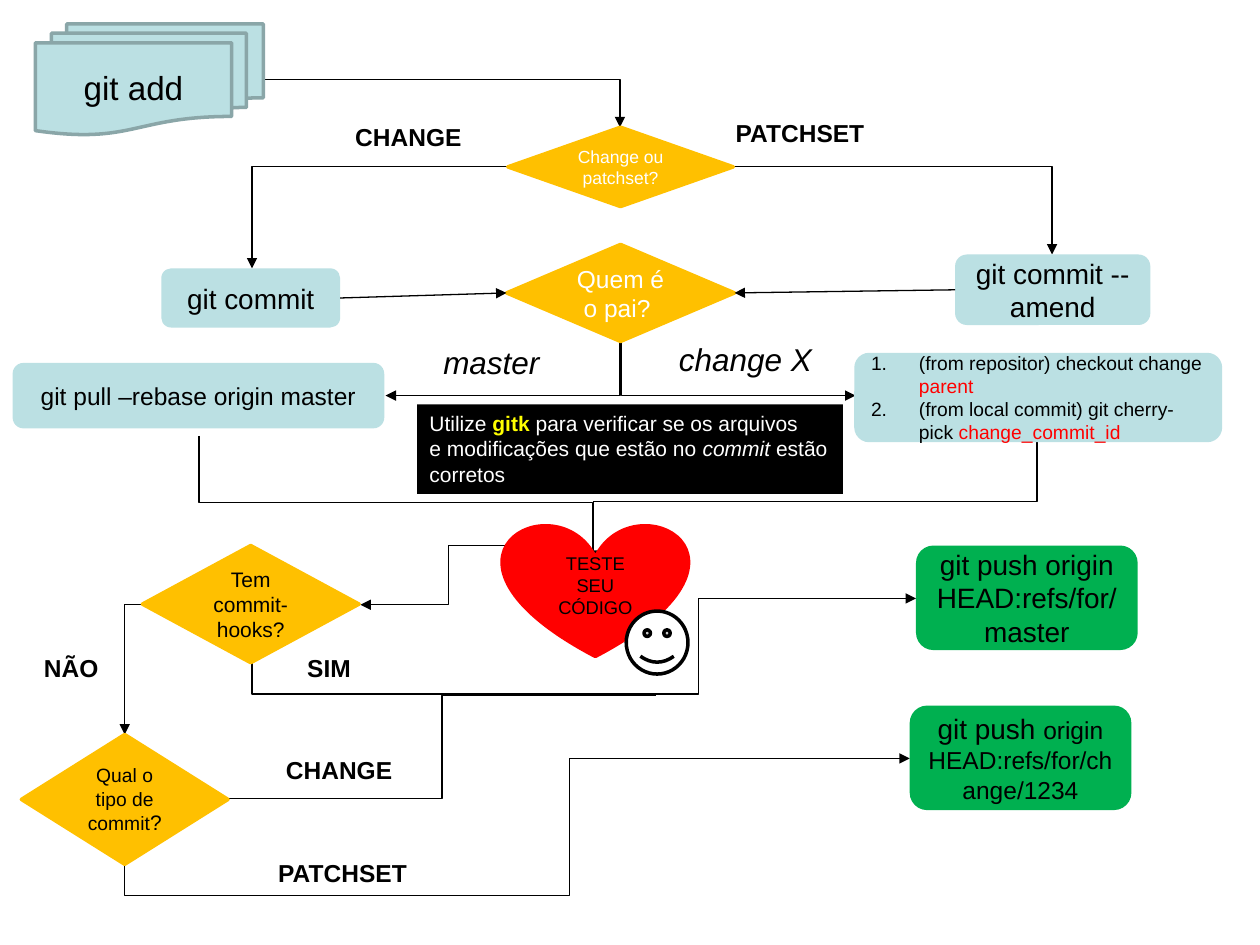
from lxml import etree
from pptx import Presentation
from pptx import util as u
from pptx.dml.color import RGBColor
from pptx.enum import shapes, text
from pptx.oxml.ns import qn

BLACK = RGBColor(0x00, 0x00, 0x00)
WHITE = RGBColor(0xFF, 0xFF, 0xFF)
RED = RGBColor(0xFF, 0x00, 0x00)
YELLOW = RGBColor(0xFF, 0xFF, 0x00)
AMBER = RGBColor(0xFF, 0xC0, 0x00)
AQUA = RGBColor(0xBB, 0xE0, 0xE3)
SLATE = RGBColor(0x8A, 0xA6, 0xA8)
GREEN = RGBColor(0x00, 0xB0, 0x50)
FONT = "Arial"

KIND = shapes.MSO_SHAPE
DECISION = (KIND.DIAMOND, AMBER, AMBER)
COMMAND = (KIND.ROUNDED_RECTANGLE, AQUA, None)
PUSH = (KIND.ROUNDED_RECTANGLE, GREEN, None)
HEART = (KIND.HEART, RED, RED)
FILES = (KIND.FLOWCHART_MULTIDOCUMENT, AQUA, SLATE)
SMILEY = (KIND.SMILEY_FACE, WHITE, BLACK)

# A paragraph is a list of runs: (text, size, colour, style letters b / i)
# Steps: name -> style, (left, top, width, height), paragraphs
STEPS = {
    "change or patchset": (DECISION, (4.03, 1.01, 1.79, 0.63),
                           [[("Change ou patchset?", 10, WHITE, "")]]),
    "commit": (COMMAND, (1.28, 2.13, 1.42, 0.47), [[("git commit", 16, BLACK, "")]]),
    "amend": (COMMAND, (7.58, 2.02, 1.55, 0.56), [[("git commit --amend", 16, BLACK, "")]]),
    "parent": (DECISION, (4.02, 1.94, 1.81, 0.77), [[("Quem é o pai? ", 14, WHITE, "")]]),
    "pull": (COMMAND, (0.1, 2.88, 2.95, 0.52),
             [[("git pull –rebase origin master", 14, BLACK, "")]]),
    "cherry-pick": (COMMAND, (6.78, 2.8, 2.92, 0.71), [
        [("(from repositor) checkout change ", 11, BLACK, ""), ("parent", 11, RED, "")],
        [("(from local commit) git cherry-pick ", 11, BLACK, ""),
         ("change_commit_id", 11, RED, "")]]),
    "hooks": (DECISION, (1.13, 4.33, 1.72, 0.93), [[("Tem commit-hooks?", 12, BLACK, "")]]),
    "commit type": (DECISION, (0.17, 5.83, 1.64, 1.03),
                    [[("Qual o tipo de commit", 11, BLACK, ""), ("?", 12, BLACK, "")]]),
    "push master": (PUSH, (7.27, 4.33, 1.76, 0.83),
                    [[("git push origin HEAD:refs/for/master", 16, BLACK, "")]]),
    "push change": (PUSH, (7.22, 5.6, 1.76, 0.83),
                    [[("git push ", 16, BLACK, ""),
                      ("origin HEAD:refs/for/change/1234", 14, BLACK, "")]]),
    "add": (FILES, (0.28, 0.19, 1.81, 0.88), [[("git add", 19, BLACK, "")]]),
    "test": (HEART, (3.99, 4.16, 1.47, 1.05), [[("TESTE SEU CÓDIGO", 10.5, BLACK, "")]]),
    "smiley": (SMILEY, (4.97, 4.85, 0.49, 0.5), []),
}
NUMBERED = "cherry-pick"

# Branch labels: text, (left, top, width, height), size, style
LABELS = [
    ("NÃO", (0.25, 5.13, 0.95, 0.34), 14, "b"),
    ("SIM", (2.34, 5.13, 0.8, 0.34), 14, "b"),
    ("CHANGE", (2.72, 0.92, 1.38, 0.34), 14, "b"),
    ("PATCHSET", (5.74, 0.89, 1.76, 0.34), 14, "b"),
    ("CHANGE", (2.17, 5.94, 1.38, 0.34), 14, "b"),
    ("PATCHSET", (2.11, 6.76, 1.76, 0.34), 14, "b"),
    ("master", (3.42, 2.67, 0.97, 0.4), 18, "i"),
    ("change X", (5.29, 2.65, 1.27, 0.4), 18, "i"),
]
TIP_BOX = (3.31, 3.21, 3.38, 0.71)
TIP = [
    [("Utilize ", 12, WHITE, ""), ("gitk", 12, YELLOW, "b"),
     (" para verificar se os arquivos", 12, WHITE, "")],
    [("e modificações que estão no ", 12, WHITE, ""), ("commit", 12, WHITE, "i"),
     (" estão", 12, WHITE, "")],
    [("corretos", 12, WHITE, "")],
]

# Elbow routes: corner points, arrowhead at the end
ROUTES = [
    ([(2.09, 0.63), (4.92, 0.63), (4.92, 1.01)], True),
    ([(4.03, 1.32), (2, 1.32), (2, 2.13)], True),
    ([(5.82, 1.32), (8.35, 1.32), (8.35, 2.02)], True),
    ([(4.92, 2.71), (4.92, 3.14), (3.06, 3.14)], True),
    ([(4.93, 2.7), (4.93, 3.14), (6.79, 3.14)], True),
    ([(1.58, 3.46), (1.58, 3.99), (4.7, 3.99), (4.7, 4.52)], True),
    ([(8.23, 3.5), (8.23, 3.98), (4.71, 3.98), (4.71, 4.45)], True),
    ([(4.25, 4.33), (3.56, 4.33), (3.56, 4.8), (2.86, 4.8)], True),
    ([(1.13, 4.8), (0.99, 4.8), (0.99, 5.83)], True),
    ([(2, 5.26), (2, 5.51), (5.54, 5.51), (5.54, 4.75), (7.27, 4.75)], True),
    ([(0.99, 6.86), (0.99, 7.11), (4.52, 7.11), (4.52, 6.02), (7.22, 6.02)], True),
    ([(1.81, 6.34), (3.51, 6.34), (3.51, 5.52), (5.21, 5.52)], False),
]
# Straight arrows: from step, side, to step, side
ARROWS = [("commit", 3, "parent", 1), ("amend", 1, "parent", 3)]

# (starts vertically, goes right, goes down) -> degrees, flips
TURNS = {
    (False, True, True): (0, ""), (False, True, False): (0, "V"),
    (False, False, True): (180, "V"), (False, False, False): (180, ""),
    (True, True, True): (270, "H"), (True, False, True): (90, ""),
    (True, True, False): (90, "HV"), (True, False, False): (270, "V"),
}


def write(frame, paragraphs, alignment):
    for index, runs in enumerate(paragraphs):
        paragraph = frame.paragraphs[0] if index == 0 else frame.add_paragraph()
        paragraph.alignment = alignment
        for words, size, colour, style in runs:
            run = paragraph.add_run()
            run.text = words
            run.font.name, run.font.size = FONT, u.Pt(size)
            run.font.color.rgb = colour
            run.font.bold, run.font.italic = "b" in style, "i" in style


def number(frame):
    for paragraph in frame.paragraphs:
        properties = paragraph._p.get_or_add_pPr()
        properties.set("marL", str(u.Inches(0.38)))
        properties.set("indent", str(-u.Inches(0.38)))
        etree.SubElement(properties, qn("a:buFont"), typeface="+mj-lt")
        etree.SubElement(properties, qn("a:buAutoNum"), type="arabicPeriod")


def add_step(slide, style, box, paragraphs):
    kind, fill, outline = style
    shape = slide.shapes.add_shape(kind, *map(u.Inches, box))
    shape.shadow.inherit = False
    shape.fill.solid()
    shape.fill.fore_color.rgb = fill
    if outline is None:
        shape.line.fill.background()
    else:
        shape.line.color.rgb, shape.line.width = outline, u.Pt(2)
    shape.text_frame.vertical_anchor = text.MSO_ANCHOR.MIDDLE
    write(shape.text_frame, paragraphs, text.PP_ALIGN.CENTER)
    return shape


def add_text(slide, box, paragraphs, wrap):
    shape = slide.shapes.add_textbox(*map(u.Inches, box))
    shape.text_frame.word_wrap = wrap
    shape.text_frame.auto_size = text.MSO_AUTO_SIZE.SHAPE_TO_FIT_TEXT
    write(shape.text_frame, paragraphs, text.PP_ALIGN.LEFT)
    return shape


def add_line(slide, kind, box=(0, 0, 0, 0), arrow=True):
    connector = slide.shapes.add_connector(kind, *map(u.Inches, box))
    connector.line.color.rgb, connector.line.width = BLACK, u.Pt(0.75)
    if arrow:
        etree.SubElement(connector.line._get_or_add_ln(), qn("a:tailEnd"), type="triangle")
    etree.SubElement(connector._element.spPr, qn("a:effectLst"))
    return connector


def add_route(slide, points, arrow):
    (x1, y1), (x2, y2) = points[0], points[-1]
    dx, dy = x2 - x1, y2 - y1
    vertical = points[1][0] == x1
    width, height = (abs(dy), abs(dx)) if vertical else (abs(dx), abs(dy))
    left, top = (x1 + x2 - width) / 2, (y1 + y2 - height) / 2
    connector = add_line(slide, shapes.MSO_CONNECTOR.ELBOW,
                         (left, top, left + width, top + height), arrow)
    degrees, flips = TURNS[vertical, dx > 0, dy > 0]
    properties = connector._element.spPr
    properties.xfrm.set("rot", str(degrees * 60000))
    for flip in flips:
        properties.xfrm.set("flip" + flip, "1")
    # Each middle corner gives one adjustment, as a share of the span
    geometry = properties.find(qn("a:prstGeom"))
    geometry.set("prst", f"bentConnector{len(points) - 1}")
    guides = geometry.find(qn("a:avLst"))
    for index, (x, y) in enumerate(points[1:-2], 1):
        along_y = vertical == (index % 2 == 1)
        share = (y - y1) / dy if along_y else (x - x1) / dx
        etree.SubElement(guides, qn("a:gd"), name=f"adj{index}" if len(points) > 4 else "adj1",
                         fmla=f"val {round(share * 100000)}")


def main():
    presentation = Presentation()
    presentation.slide_width, presentation.slide_height = u.Inches(10), u.Inches(7.5)
    slide = presentation.slides.add_slide(presentation.slide_layouts[6])

    # Flow lines, then the steps on top
    for points, arrow in ROUTES:
        add_route(slide, points, arrow)
    steps = {name: add_step(slide, *step) for name, step in STEPS.items()}
    number(steps[NUMBERED].text_frame)
    for paragraph in steps[NUMBERED].text_frame.paragraphs:
        paragraph.alignment = text.PP_ALIGN.LEFT
    for start, start_side, end, end_side in ARROWS:
        connector = add_line(slide, shapes.MSO_CONNECTOR.STRAIGHT)
        connector.begin_connect(steps[start], start_side)
        connector.end_connect(steps[end], end_side)

    # Branch labels and the tip
    for words, box, size, style in LABELS:
        add_text(slide, box, [[(words, size, BLACK, style)]], wrap=style == "b")
    tip = add_text(slide, TIP_BOX, TIP, wrap=False)
    tip.fill.solid()
    tip.fill.fore_color.rgb = BLACK

    presentation.save("out.pptx")


if __name__ == "__main__":
    main()
